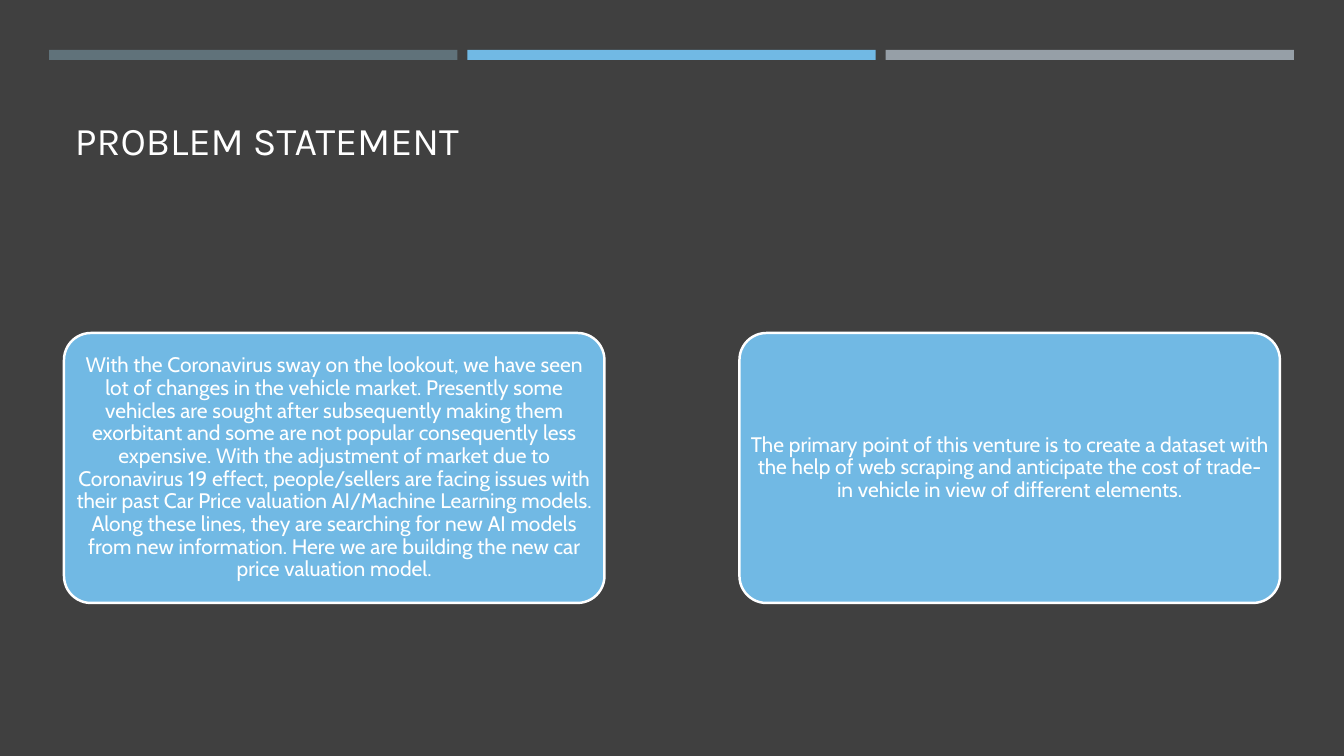
from pptx import Presentation
from pptx.dml.color import RGBColor
from pptx.enum.shapes import MSO_SHAPE as Shape
from pptx.enum.text import MSO_ANCHOR as Anchor, PP_ALIGN as Align
from pptx.util import Pt

EMU_PER_PX = 914400 / 100.8
WIDTH, HEIGHT = 1344, 756
WHITE, SKY, CHARCOAL, BLACK = "FFFFFF", "71B9E4", "404040", "000000"
BAND_COLORS = ["60727A", SKY, "969FA7"]

TITLE = "PROBLEM STATEMENT"
STATEMENTS = [
    "With the Coronavirus sway on the lookout, we have seen lot of changes in "
    "the vehicle market. Presently some vehicles are sought after subsequently "
    "making them exorbitant and some are not popular consequently less "
    "expensive. With the adjustment of market due to Coronavirus 19 effect, "
    "people/sellers are facing issues with their past Car Price valuation "
    "AI/Machine Learning models. Along these lines, they are searching for new "
    "AI models from new information. Here we are building the new car price "
    "valuation model.",
    "The primary point of this venture is to create a dataset with the help of "
    "web scraping and anticipate the cost of trade-in vehicle in view of "
    "different elements.",
]


def px(length):
    return round(length * EMU_PER_PX)


def paint(fill, color):
    fill.solid()
    fill.fore_color.rgb = RGBColor.from_string(color)


def add_block(slide, kind, box, color):
    block = slide.shapes.add_shape(kind, *map(px, box))
    block.shadow.inherit = False
    paint(block.fill, color)
    block.line.fill.background()
    return block


def write(frame, text, font, size, align, anchor, insets):
    frame.word_wrap = True
    frame.vertical_anchor = anchor
    for side, inset in insets.items():
        setattr(frame, f"margin_{side}", px(inset))
    paragraph = frame.paragraphs[0]
    paragraph.alignment = align
    run = paragraph.add_run()
    run.text = text
    run.font.name, run.font.size = font, Pt(size)
    paint(run.font.fill, WHITE)
    return paragraph


# Full-slide backdrop
def draw_backdrop(slide):
    paint(slide.background.fill, BLACK)
    add_block(slide, Shape.RECTANGLE, (0, 0, WIDTH, HEIGHT), CHARCOAL)


# Heading, raised one line above the bottom of its box
def draw_title(slide, box):
    heading = slide.shapes.add_textbox(*map(px, box))
    write(heading.text_frame, TITLE, "Karla", 28, Align.LEFT, Anchor.BOTTOM,
          {"left": 10, "right": 10, "top": 5, "bottom": 50})


# Row of equal colour bands
def draw_bands(slide, box, gap=10):
    left, top, width, height = box
    count = len(BAND_COLORS)
    band = (width - gap * (count - 1)) / count
    for i, color in enumerate(BAND_COLORS):
        add_block(slide, Shape.RECTANGLE,
                  (left + i * (band + gap), top, band, height), color)


# Rounded statement cards side by side
def draw_cards(slide, box, gap=135):
    left, top, width, height = box
    count = len(STATEMENTS)
    card_width = (width - gap * (count - 1)) / count
    for i, statement in enumerate(STATEMENTS):
        card = add_block(slide, Shape.ROUNDED_RECTANGLE,
                         (left + i * (card_width + gap), top, card_width, height), SKY)
        card.adjustments[0] = 0.1
        paint(card.line.fill, WHITE)
        card.line.width = Pt(1.75)
        paragraph = write(card.text_frame, statement, "Cabin", 15, Align.CENTER,
                          Anchor.MIDDLE, {"left": 3, "right": 3, "top": 2, "bottom": 2})
        paragraph.line_spacing = 0.9


def main():
    deck = Presentation()
    deck.slide_width, deck.slide_height = px(WIDTH), px(HEIGHT)
    slide = deck.slides.add_slide(deck.slide_layouts[6])
    draw_backdrop(slide)
    draw_title(slide, (65, 78, 1215, 131))
    draw_bands(slide, (49, 50, 1245, 10))
    draw_cards(slide, (64, 333, 1216, 270))
    deck.save("out.pptx")


if __name__ == "__main__":
    main()
